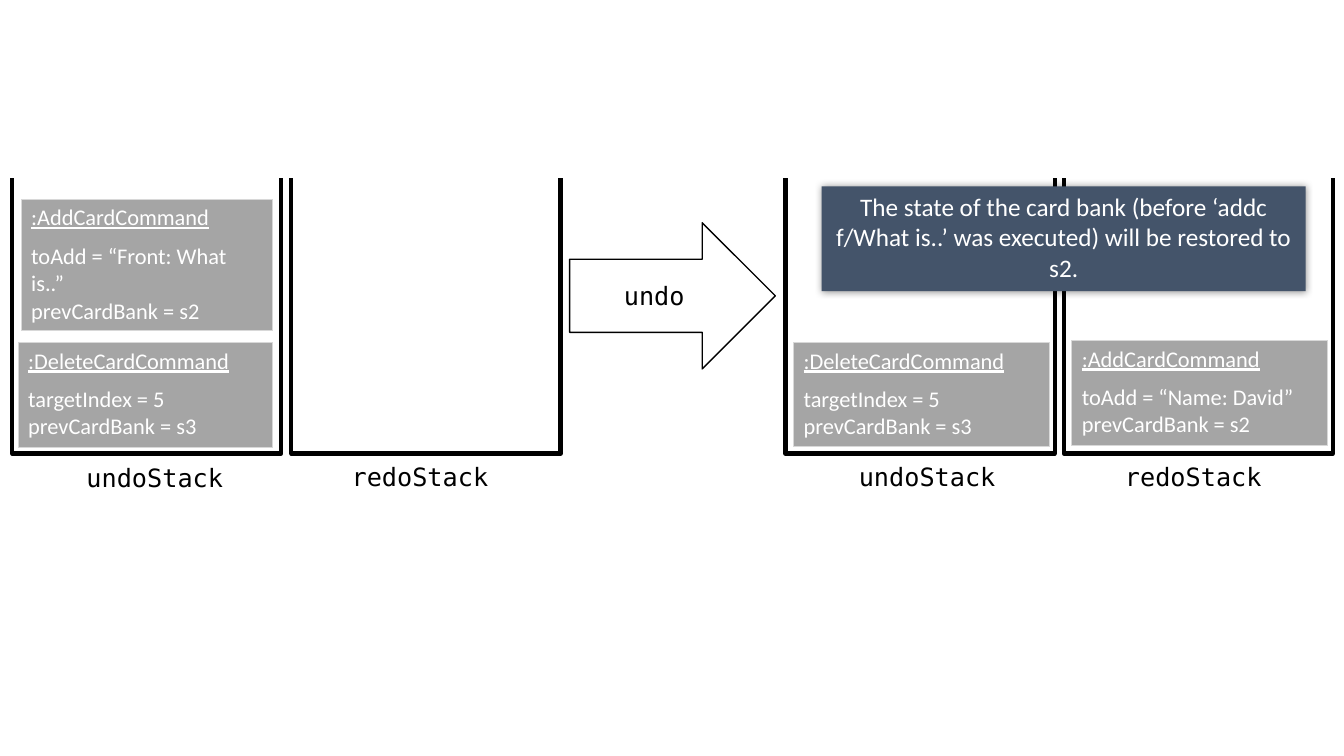
from lxml import etree
from pptx import Presentation
from pptx.dml.color import RGBColor
from pptx.enum.shapes import MSO_SHAPE
from pptx.enum.text import MSO_ANCHOR, PP_ALIGN
from pptx.oxml import parse_xml
from pptx.oxml.ns import nsdecls, qn
from pptx.util import Inches, Pt

SLIDE_W, SLIDE_H = 13.33, 7.5
MONO, SANS = "DejaVu Sans Mono", "Calibri"
BLACK, WHITE, GREY, SLATE, EDGE = "000000", "FFFFFF", "A5A5A5", "44546A", "D8D8D8"

STACK_W, STACK_H, STACK_TOP = 2.67, 2.73, 1.77
LABEL_W, LABEL_H = 2.51, 0.42
HEADER_H = 0.38


def color(hex_code):
    return RGBColor.from_string(hex_code)


def add_run(paragraph, text, size, font, hex_code, underline=False):
    run = paragraph.add_run()
    run.text = text
    run.font.size = Pt(size)
    run.font.name = font
    run.font.color.rgb = color(hex_code)
    run.font.underline = underline


def add_block(slide, preset, box, text, font, text_color,
              fill=None, line=None, line_width=0.75, anchor=MSO_ANCHOR.TOP):
    """Preset shape with one centred paragraph."""
    block = slide.shapes.add_shape(preset, *map(Inches, box))
    block.shadow.inherit = False
    if fill:
        block.fill.solid()
        block.fill.fore_color.rgb = color(fill)
    else:
        block.fill.background()
    if line:
        block.line.color.rgb = color(line)
        block.line.width = Pt(line_width)
    else:
        block.line.fill.background()
    frame = block.text_frame
    frame.word_wrap = True
    frame.vertical_anchor = anchor
    frame.paragraphs[0].alignment = PP_ALIGN.CENTER
    add_run(frame.paragraphs[0], text, 18, font, text_color)
    return block


def add_stack(slide, left, label, label_left, label_top):
    """Open-topped container with its name underneath."""
    right, bottom = left + STACK_W, STACK_TOP + STACK_H
    builder = slide.shapes.build_freeform(Inches(left), Inches(STACK_TOP))
    corners = [(left, bottom), (right, bottom), (right, STACK_TOP)]
    builder.add_line_segments([(Inches(x), Inches(y)) for x, y in corners], close=False)
    container = builder.convert_to_shape()
    container.shadow.inherit = False
    container.fill.background()
    container.line.color.rgb = color(BLACK)
    container.line.width = Pt(3)
    add_block(slide, MSO_SHAPE.RECTANGLE, (label_left, label_top, LABEL_W, LABEL_H),
              label, MONO, BLACK, line=WHITE)


def set_borders(cell, hidden_side):
    """Thin outer borders, none on the side shared with the other cell."""
    properties = cell._tc.get_or_add_tcPr()
    for side in ("lnL", "lnR", "lnT", "lnB"):
        border = etree.SubElement(properties, qn(f"a:{side}"), w=str(Pt(0.5)))
        if side == hidden_side:
            etree.SubElement(border, qn("a:noFill"))
        else:
            paint = etree.SubElement(border, qn("a:solidFill"))
            etree.SubElement(paint, qn("a:srgbClr"), val=EDGE)


def add_command(slide, box, title, fields):
    """Command object: underlined header over its field values."""
    height = box[3]
    card = slide.shapes.add_table(2, 1, *map(Inches, box)).table
    card.first_row = card.horz_banding = False
    card.rows[0].height = Inches(HEADER_H)
    card.rows[1].height = Inches(height - HEADER_H)
    for row, (lines, hidden_side) in enumerate([([title], "lnB"), (fields, "lnT")]):
        cell = card.cell(row, 0)
        set_borders(cell, hidden_side)
        cell.fill.solid()
        cell.fill.fore_color.rgb = color(GREY)
        frame = cell.text_frame
        for index, line in enumerate(lines):
            paragraph = frame.paragraphs[0] if index == 0 else frame.add_paragraph()
            add_run(paragraph, line, 16, SANS, WHITE, underline=row == 0)


def add_note(slide, box, text):
    """Dark callout with a soft glow-like shadow."""
    note = add_block(slide, MSO_SHAPE.RECTANGLE, box, text, SANS, WHITE, fill=SLATE)
    effects = note._element.spPr.find(qn("a:effectLst"))
    effects.append(parse_xml(
        f'<a:outerShdw {nsdecls("a")} blurRad="{Pt(5)}" dist="0" dir="0" '
        f'algn="ctr" rotWithShape="0"><a:srgbClr val="{BLACK}">'
        '<a:alpha val="40000"/></a:srgbClr></a:outerShdw>'))


def main():
    deck = Presentation()
    deck.slide_width, deck.slide_height = Inches(SLIDE_W), Inches(SLIDE_H)
    slide = deck.slides.add_slide(deck.slide_layouts[6])

    # Stacks before and after the undo
    add_stack(slide, 0.12, "undoStack", 0.28, 4.54)
    add_stack(slide, 2.89, "redoStack", 2.91, 4.53)
    add_stack(slide, 7.79, "undoStack", 7.94, 4.53)
    add_stack(slide, 10.55, "redoStack", 10.58, 4.53)

    # Transition
    add_block(slide, MSO_SHAPE.RIGHT_ARROW, (5.65, 2.21, 2.04, 1.45), "undo",
              MONO, BLACK, line=BLACK, line_width=1, anchor=MSO_ANCHOR.MIDDLE)

    # Commands held in the stacks
    delete_fields = ["targetIndex = 5", "prevCardBank = s3"]
    add_command(slide, (0.21, 1.98, 2.49, 1.28), ":AddCardCommand",
                ["toAdd = “Front: What is..”", "prevCardBank = s2"])
    add_command(slide, (10.63, 3.38, 2.53, 1.04), ":AddCardCommand",
                ["toAdd = “Name: David”", "prevCardBank = s2"])
    add_command(slide, (0.18, 3.4, 2.52, 1.04), ":DeleteCardCommand", delete_fields)
    add_command(slide, (7.87, 3.4, 2.54, 1.03), ":DeleteCardCommand", delete_fields)

    # Explanation
    add_note(slide, (8.15, 1.85, 4.8, 1.04),
             "The state of the card bank (before ‘addc f/What is..’ was executed) "
             "will be restored to s2.")

    deck.save("out.pptx")


if __name__ == "__main__":
    main()
